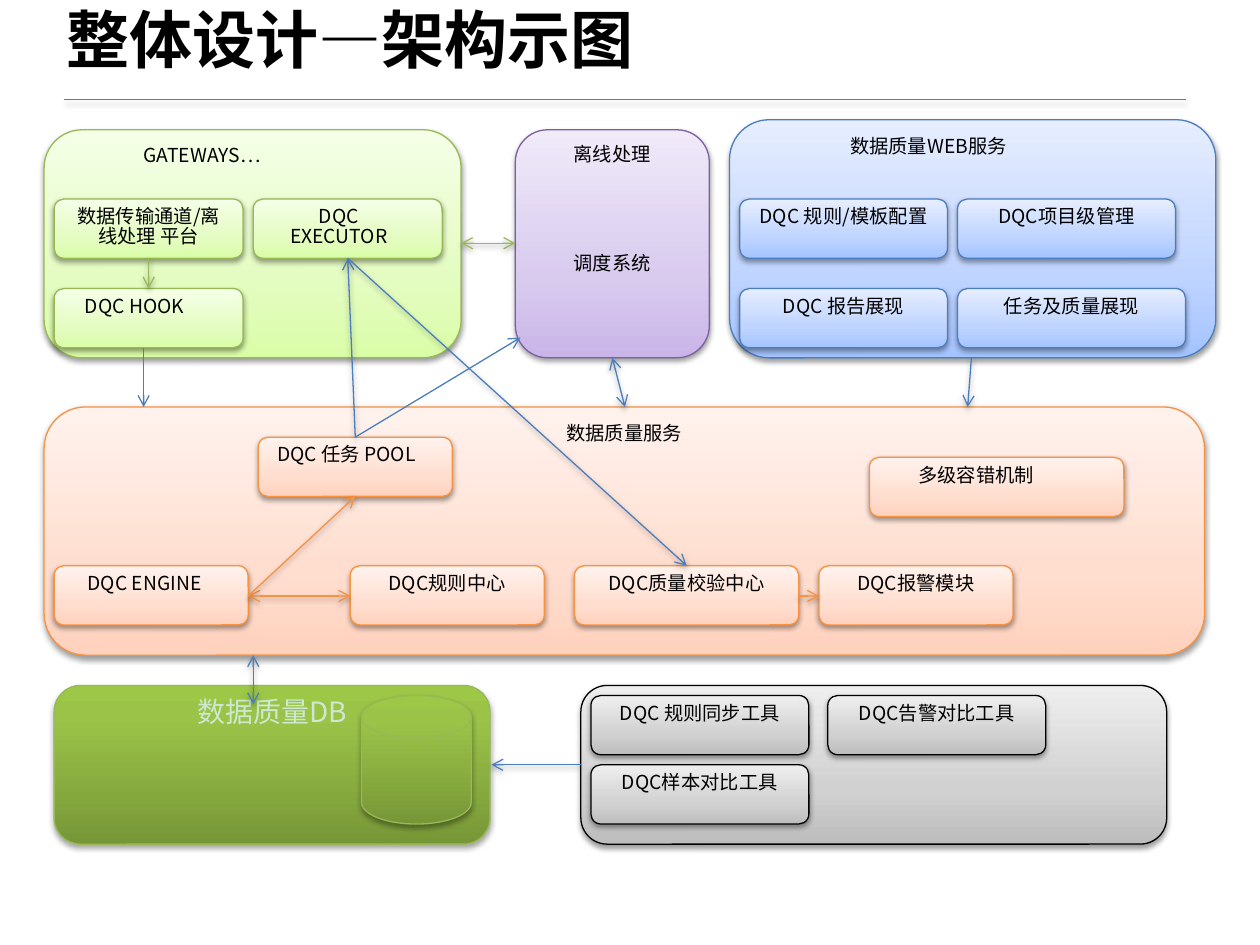
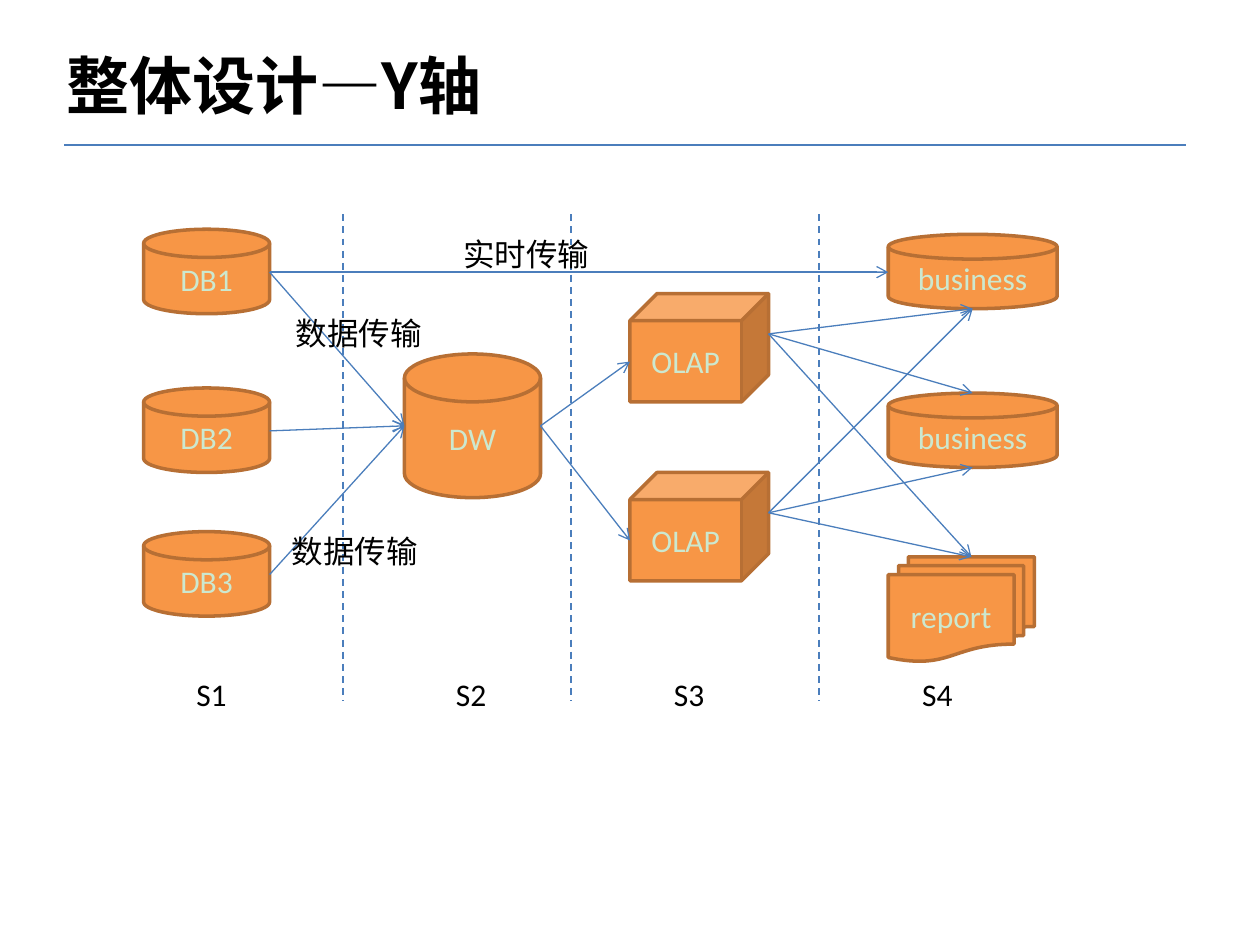
from lxml import etree
from pptx import Presentation
from pptx.dml.color import RGBColor
from pptx.enum.dml import MSO_LINE
from pptx.enum.shapes import MSO_CONNECTOR, MSO_SHAPE
from pptx.enum.text import MSO_ANCHOR, MSO_AUTO_SIZE, PP_ALIGN
from pptx.oxml import parse_xml
from pptx.oxml.ns import nsdecls, qn
from pptx.util import Inches, Pt

ROUNDED, CUBE = MSO_SHAPE.ROUNDED_RECTANGLE, MSO_SHAPE.CUBE
DISK = MSO_SHAPE.FLOWCHART_MAGNETIC_DISK
REPORTS = MSO_SHAPE.FLOWCHART_MULTIDOCUMENT
STRAIGHT, DASH = MSO_CONNECTOR.STRAIGHT, MSO_LINE.DASH
LEFT, CENTER = PP_ALIGN.LEFT, PP_ALIGN.CENTER
TOP, MIDDLE = MSO_ANCHOR.TOP, MSO_ANCHOR.MIDDLE

CJK, LATIN = "Noto Sans CJK SC", "Calibri"
COLORS = {
    "black": "000000", "pale": "CCE8CF", "blue": "4B7EBC", "green": "98B955",
    "orange": "F69240", "purple": "7D60A0", "node": "F79646", "node_edge": "B76F34",
}
# Outline colour and gradient stops (percent, colour), from bottom to top
STYLES = {
    "green": ("green", [(0, "DAFDA7"), (35, "E4FCC2"), (100, "F5FFE7")]),
    "blue": ("blue", [(0, "A4C4FF"), (35, "BFD4FF"), (100, "E6EEFF")]),
    "orange": ("orange", [(0, "FFD2BD"), (35, "FFDED0"), (100, "FFF2ED")]),
    "purple": ("purple", [(0, "C9B5E8"), (35, "D8CBEE"), (100, "F0EAF9")]),
    "gray": ("black", [(0, "BDBDBD"), (35, "D1D1D1"), (100, "EEEEEE")]),
    "db": ("green", [(0, "779737"), (80, "9BC348"), (100, "9DC746")]),
}
BOX_H = 0.47


def rgb(name):
    return RGBColor.from_string(COLORS[name])


def add_run(p, text, size, color="black", font=CJK, bold=False):
    r = p.add_run()
    r.text = text
    r.font.size, r.font.bold, r.font.name = Pt(size), bold, font
    r.font.color.rgb = rgb(color)
    etree.SubElement(r._r.get_or_add_rPr(), qn("a:ea"), typeface=font)
    if font == CJK:
        p.line_spacing = 0.85


def add_shadow(effects, alpha=38, distance=20000):
    effects.append(parse_xml(
        f'<a:outerShdw {nsdecls("a")} blurRad="40000" dist="{distance}" dir="5400000" '
        f'rotWithShape="0"><a:srgbClr val="000000"><a:alpha val="{alpha * 1000}"/>'
        '</a:srgbClr></a:outerShdw>'))


def add_title(slide, text, top):
    title = slide.shapes.title
    title.left, title.top = Inches(0.43), Inches(top)
    title.width, title.height = Inches(5.67), Inches(0.71)
    tf = title.text_frame
    tf.auto_size, tf.vertical_anchor = MSO_AUTO_SIZE.NONE, TOP
    p = tf.paragraphs[0]
    p.alignment = LEFT
    add_run(p, text, 36, bold=True)


def add_shape(slide, kind, at, edge, width):
    sp = slide.shapes.add_shape(kind, *map(Inches, at))
    sp.shadow.inherit = False
    sp.line.color.rgb, sp.line.width = rgb(edge), Pt(width)
    return sp


def add_box(slide, style, at, text="", shift=0, size=11, color="black", kind=ROUNDED):
    """Gradient box; shift moves its centred text sideways."""
    edge, stops = STYLES[style]
    sp = add_shape(slide, kind, at, edge, 0.75)
    sp.fill.gradient()
    spPr = sp._element.spPr
    stop_xml = "".join(f'<a:gs pos="{pos * 1000}"><a:srgbClr val="{c}"/></a:gs>'
                       for pos, c in stops)
    spPr.replace(spPr.find(qn("a:gradFill")), parse_xml(
        f'<a:gradFill {nsdecls("a")} rotWithShape="1"><a:gsLst>{stop_xml}</a:gsLst>'
        '<a:lin ang="16200000" scaled="0"/></a:gradFill>'))
    effects = spPr.find(qn("a:effectLst"))
    if style == "db":
        add_shadow(effects, 35, 23000)
    else:
        add_shadow(effects)
    tf = sp.text_frame
    tf.word_wrap, tf.vertical_anchor = True, TOP
    tf.margin_right = Inches(0.1 - 2 * shift)
    if text:
        p = tf.paragraphs[0]
        p.alignment = CENTER
        add_run(p, text, size, color)
    return sp


def add_node(slide, kind, at, text):
    sp = add_shape(slide, kind, at, "node_edge", 2)
    sp.fill.solid()
    sp.fill.fore_color.rgb = rgb("node")
    tf = sp.text_frame
    tf.vertical_anchor = MIDDLE
    p = tf.paragraphs[0]
    p.alignment = CENTER
    add_run(p, text, 18, "pale", LATIN)


def add_label(slide, at, text, font, align):
    tf = slide.shapes.add_textbox(*map(Inches, at)).text_frame
    tf.word_wrap = False
    p = tf.paragraphs[0]
    p.alignment = align
    add_run(p, text, 18, font=font)


def add_line(slide, start, end, color="blue", width=0.75, ends="", shadow=False, dash=None):
    """Straight line; ends names the arrowheads, as in "head tail"."""
    line = slide.shapes.add_connector(STRAIGHT, *map(Inches, start + end))
    line.line.color.rgb, line.line.width = rgb(color), Pt(width)
    if dash:
        line.line.dash_style = dash
    for end_name in ends.split():
        etree.SubElement(line.line._get_or_add_ln(), qn(f"a:{end_name}End"), type="arrow")
    effects = etree.SubElement(line._element.spPr, qn("a:effectLst"))
    if shadow:
        add_shadow(effects)


def build_architecture(slide):
    add_title(slide, "整体设计—架构示图", 0.05)
    add_line(slide, (0.51, 0.79), (9.41, 0.79), shadow=True)

    # Database
    add_box(slide, "db", (0.43, 5.44, 3.46, 1.26), "数据质量DB", size=16, color="pale")
    add_box(slide, "db", (2.87, 5.52, 0.87, 1.02), kind=DISK)

    # Areas
    for style, at, text, shift in [
        ("green", (0.35, 1.03, 3.31, 1.81), "GATEWAYS…", -0.4),
        ("blue", (5.79, 0.95, 3.86, 1.89), "数据质量WEB服务", -0.35),
        ("orange", (0.35, 3.23, 9.21, 1.97), "数据质量服务", 0),
        ("gray", (4.61, 5.44, 4.65, 1.26), "", 0),
    ]:
        add_box(slide, style, at, text, shift)

    # Scheduler
    scheduler = add_box(slide, "purple", (4.09, 1.03, 1.54, 1.81), "离线处理")
    p = scheduler.text_frame.add_paragraph()
    p.alignment, p.space_before = CENTER, Pt(51.5)
    add_run(p, "调度系统", 11)

    # Components: left, top, width, text, shift
    components = {
        "green": [(0.43, 1.58, 1.5, "数据传输通道/离线处理 平台", 0),
                  (0.43, 2.29, 1.5, "DQC HOOK", -0.11),
                  (2.01, 1.58, 1.5, "DQC EXECUTOR", -0.07)],
        "blue": [(5.87, 1.58, 1.65, "DQC 规则/模板配置", 0),
                 (7.6, 1.58, 1.73, "DQC项目级管理", 0),
                 (5.87, 2.29, 1.65, "DQC 报告展现", 0),
                 (7.6, 2.29, 1.81, "任务及质量展现", 0)],
        "orange": [(0.43, 4.49, 1.54, "DQC ENGINE", -0.05),
                   (2.78, 4.49, 1.54, "DQC规则中心", 0),
                   (4.56, 4.49, 1.78, "DQC质量校验中心", 0),
                   (6.5, 4.49, 1.54, "DQC报警模块", 0),
                   (2.05, 3.47, 1.54, "DQC 任务 POOL", -0.07),
                   (6.9, 3.63, 2.02, "多级容错机制", -0.16)],
        "gray": [(4.69, 5.52, 1.73, "DQC 规则同步工具", 0),
                 (4.69, 6.07, 1.73, "DQC样本对比工具", 0),
                 (6.57, 5.52, 1.73, "DQC告警对比工具", 0)],
    }
    for style, boxes in components.items():
        for left, top, width, text, shift in boxes:
            add_box(slide, style, (left, top, width, BOX_H), text, shift)

    # Flows
    engine, pool, executor = (1.97, 4.73), (2.82, 3.47), (2.76, 2.05)
    for start, end, color, ends in [
        ((1.18, 2.05), (1.18, 2.29), "green", "tail"),
        ((3.66, 1.93), (4.09, 1.93), "green", "head tail"),
        (engine, (2.78, 4.73), "orange", "head tail"),
        ((6.33, 4.73), (6.5, 4.73), "orange", "tail"),
        (engine, (2.82, 3.94), "orange", "tail"),
        (pool, executor, "blue", "tail"),
        (executor, (5.45, 4.49), "blue", "tail"),
        ((2.01, 5.2), (2.01, 5.59), "blue", "head tail"),
        ((4.61, 6.07), (3.9, 6.07), "blue", "tail"),
        ((7.71, 2.84), (7.68, 3.23), "blue", "tail"),
        ((4.86, 2.84), (4.96, 3.23), "blue", "head tail"),
    ]:
        add_line(slide, start, end, color, ends=ends, shadow=True)
    add_line(slide, (1.14, 2.76), (1.14, 3.23), ends="tail")
    add_line(slide, pool, (4.13, 2.68), ends="tail")


def build_y_axis(slide):
    add_title(slide, "整体设计—Y轴", 0.41)
    add_line(slide, (0.51, 1.15), (9.41, 1.15), width=1.5)

    # Stages
    for x in (2.72, 4.53, 6.5):
        add_line(slide, (x, 1.7), (x, 5.56), width=1, dash=DASH)
    for number, x in enumerate((1.46, 3.52, 5.25, 7.22), 1):
        add_label(slide, (x, 5.31, 0.54, 0.4), f"S{number}", LATIN, LEFT)

    # Nodes
    db_tops, cube_tops, business_tops = (1.82, 3.08, 4.22), (2.33, 3.75), (1.86, 3.12)
    for number, top in enumerate(db_tops, 1):
        add_node(slide, DISK, (1.14, top, 1, 0.67), f"DB{number}")
    add_node(slide, DISK, (3.21, 2.81, 1.08, 1.14), "DW")
    for top in cube_tops:
        add_node(slide, CUBE, (5, top, 1.1, 0.86), "OLAP")
    for top in business_tops:
        add_node(slide, DISK, (7.05, top, 1.34, 0.59), "business")
    add_node(slide, REPORTS, (7.05, 4.42, 1.16, 0.83), "report")

    # Flows from the sources, through the warehouse and cubes, to the consumers
    flows = [((2.14, 2.16), (7.05, 2.16))]
    flows += [((2.14, top + 0.34), (3.21, 3.38)) for top in db_tops]
    flows += [((4.29, 3.38), (5, top + 0.54)) for top in cube_tops]
    for top, second_business_y in zip(cube_tops, (3.12, 3.71)):
        targets = [(7.72, 2.45), (7.72, second_business_y), (7.71, 4.42)]
        flows += [((6.1, top + 0.32), target) for target in targets]
    for start, end in flows:
        add_line(slide, start, end, ends="tail")

    # Flow labels
    for x, y, text in [(2.24, 2.49, "数据传输"), (3.57, 1.86, "实时传输"),
                       (2.21, 4.22, "数据传输")]:
        add_label(slide, (x, y, 1.21, 0.4), text, CJK, CENTER)


def main():
    prs = Presentation()
    prs.slide_width, prs.slide_height = Inches(10), Inches(7.5)
    title_only = prs.slide_layouts[5]
    for build in (build_architecture, build_y_axis):
        build(prs.slides.add_slide(title_only))
    prs.save("out.pptx")


if __name__ == "__main__":
    main()
